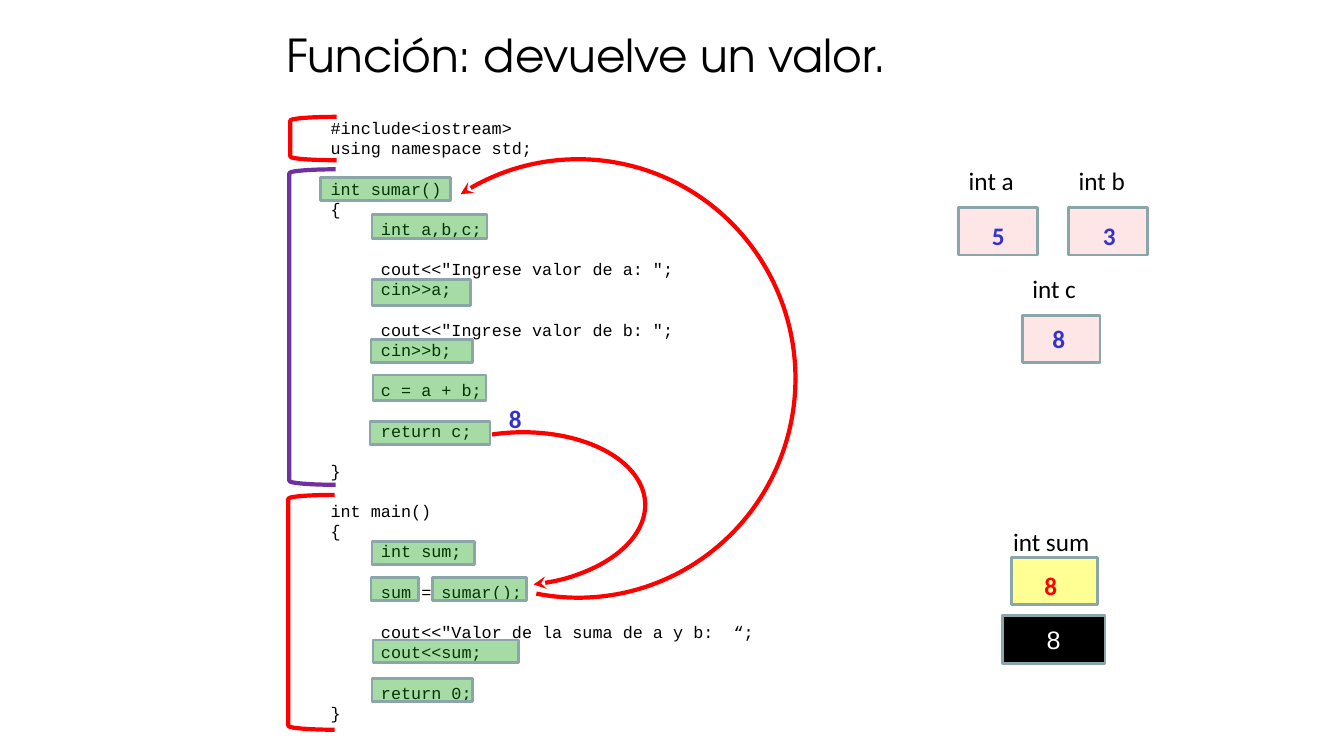
from dataclasses import dataclass
from typing import Optional

from lxml import etree
from pptx import Presentation, util as u
from pptx.dml import color
from pptx.enum import shapes, text
from pptx.oxml import ns

COLORS = {
    "ink": "000000", "paper": "FFFFFF", "red": "FF0000", "purple": "7030A0",
    "value": "3333CC", "edge": "8AA6A8", "step": "009900", "local": "FF9999",
    "result": "FFFF00",
}
COLS, ROWS = 133.3, 75
LINE_PITCH = 14.4
FRAME = {"word_wrap": True, "auto_size": text.MSO_AUTO_SIZE.NONE}
PLAIN = {"name": "Calibri", "size": u.Pt(18), "bold": False}
BOLD = PLAIN | {"bold": True}
CODE_FONT = {"name": "Courier New", "size": u.Pt(12)}
TITLE_FONT = {"name": "TeX Gyre Adventor", "size": u.Pt(32.4), "bold": False}
INDENTS = {0: (0.38, -0.38), 1: (0.81, -0.31)}

CODE = """#include<iostream>
using namespace std;

int sumar()
{
>int a,b,c;

>cout<<"Ingrese valor de a: ";
>cin>>a;

>cout<<"Ingrese valor de b: ";
>cin>>b;

>c = a + b;

>return c;

}

int main()
{
>int sum;

>sum = sumar();

>cout<<"Valor de la suma de a y b:  “;
>cout<<sum;

>return 0;
}"""


@dataclass
class Area:
    col: float
    row: float
    cols: float
    rows: float


@dataclass
class Box:
    area: Area
    fill: str
    opacity: int = 100


@dataclass
class Label:
    words: str
    area: Area
    ink: str = "ink"


@dataclass
class Outline:
    kind: shapes.MSO_SHAPE
    area: Area
    line: str = "red"
    angles: tuple[float, ...] = ()
    rotation: float = 0
    arrow: Optional[str] = None


STEPS = [
    Area(31.8, 17.6, 12.9, 2.3), Area(36.9, 21.3, 11.4, 2.4),
    Area(36.9, 27.7, 9.8, 2.6), Area(36.8, 33.7, 10.1, 2.3),
    Area(37, 37.2, 11.2, 2.5), Area(36.7, 41.8, 11.9, 2.3),
    Area(36.9, 53.7, 10.2, 2.3), Area(36.8, 57.3, 4.7, 2.3),
    Area(42.9, 57.3, 9.3, 2.3), Area(37, 63.5, 14.4, 2.2),
    Area(36.9, 67.3, 10, 2.3),
]
LOCALS = [Area(95.1, 20.6, 7.8, 4.7), Area(106, 20.6, 7.8, 4.7),
          Area(101.4, 31.3, 7.7, 4.7)]
BOXES = [Box(a, "step", 35) for a in STEPS]
BOXES += [Box(a, "local", 24) for a in LOCALS]
BOXES += [Box(Area(100.3, 55.3, 8.6, 4.7), "result", 42)]
SCREEN = Box(Area(99.4, 61.1, 10.2, 4.7), "ink")

NAMES = [Label(f"int {n}", Area(a.col, a.row - 4.7, 8.6, 4))
         for n, a in zip("abc", LOCALS)]
NAMES += [Label("int sum", Area(99.5, 51.7, 11.7, 4))]
VALUES = [
    Label("5", Area(97.4, 21.4, 4.7, 4), "value"),
    Label("3", Area(108.4, 21.4, 4.7, 4), "value"),
    Label("8", Area(103.4, 31.6, 3.4, 4), "value"),
    Label("8", Area(49.5, 39.5, 3.4, 4), "value"),
    Label("8", Area(102.6, 56.1, 3.9, 4), "red"),
]
ARC, BRACKET = shapes.MSO_SHAPE.ARC, shapes.MSO_SHAPE.LEFT_BRACKET
ARCS = [
    Outline(ARC, Area(35.8, 15.8, 43.1, 43.5), angles=(155.4, 73.52), arrow="tailEnd"),
    Outline(ARC, Area(43.6, 37.7, 15.2, 25.6), angles=(114.05, 9.11), rotation=267.2,
            arrow="headEnd"),
]
BRACKETS = [
    Outline(BRACKET, Area(28.6, 49.1, 4.6, 23.3)),
    Outline(BRACKET, Area(28.7, 16.8, 4.6, 31.3), "purple"),
    Outline(BRACKET, Area(28.8, 11.6, 4.6, 4.3)),
]


def rgb(name: str) -> color.RGBColor:
    return color.RGBColor.from_string(COLORS[name])


def apply(target, values: dict) -> None:
    for key, value in values.items():
        setattr(target, key, value)


def place(prs, area: Area) -> tuple[int, ...]:
    w, h = prs.slide_width / COLS, prs.slide_height / ROWS
    return tuple(round(v) for v in (area.col * w, area.row * h, area.cols * w, area.rows * h))


def write(p, words: str, font: dict, ink: str) -> None:
    r = p.add_run()
    r.text = words
    apply(r.font, font)
    r.font.color.rgb = rgb(ink)


def add_title(prs, s, words: str, area: Area) -> None:
    sp = s.shapes.title
    apply(sp, dict(zip(("left", "top", "width", "height"), place(prs, area))))
    apply(sp.text_frame, FRAME | {"vertical_anchor": text.MSO_ANCHOR.MIDDLE})
    p = sp.text_frame.paragraphs[0]
    apply(p, {"alignment": text.PP_ALIGN.LEFT, "line_spacing": 0.9})
    write(p, words, TITLE_FONT, "ink")


def add_code(prs, s, code: str, area: Area) -> None:
    tf = s.shapes.add_textbox(*place(prs, area)).text_frame
    apply(tf, FRAME)
    p, gap = tf.paragraphs[0], 0
    for i, line in enumerate(code.split("\n")):
        if not line:
            gap = LINE_PITCH
            continue
        p = tf.add_paragraph() if i else p
        level = int(line.startswith(">"))
        apply(p, {"level": level, "line_spacing": u.Pt(LINE_PITCH), "space_before": u.Pt(gap)})
        for key, inches in zip(("marL", "indent"), INDENTS[level]):
            p._p.get_or_add_pPr().set(key, str(u.Inches(inches)))
        write(p, line.removeprefix(">"), CODE_FONT, "ink")
        gap = 0


def add_label(prs, s, label: Label, font: dict) -> None:
    tf = s.shapes.add_textbox(*place(prs, label.area)).text_frame
    apply(tf, FRAME)
    write(tf.paragraphs[0], label.words, font, label.ink)


def add_box(prs, s, box: Box):
    sp = s.shapes.add_shape(shapes.MSO_SHAPE.RECTANGLE, *place(prs, box.area))
    sp.shadow.inherit = False
    sp.fill.solid()
    sp.fill.fore_color.rgb = rgb(box.fill)
    if box.opacity < 100:
        tint = sp.element.spPr.find(ns.qn("a:solidFill"))[0]
        etree.SubElement(tint, ns.qn("a:alpha"), val=str(box.opacity * 1000))
    sp.line.color.rgb = rgb("edge")
    sp.line.width = u.Pt(2)
    return sp


def add_outline(prs, s, outline: Outline) -> None:
    sp = s.shapes.add_shape(outline.kind, *place(prs, outline.area))
    sp.shadow.inherit = False
    sp.fill.background()
    sp.line.color.rgb = rgb(outline.line)
    sp.line.width = u.Pt(3)
    sp.rotation = outline.rotation
    for i, angle in enumerate(outline.angles):
        sp.adjustments[i] = angle
    if outline.arrow:
        sp.element.spPr.find(ns.qn("a:xfrm")).set("flipV", "1")
        ln = sp.element.spPr.find(ns.qn("a:ln"))
        etree.SubElement(ln, ns.qn(f"a:{outline.arrow}"), type="stealth")


def main() -> None:
    prs = Presentation()
    prs.slide_width, prs.slide_height = u.Inches(13.33), u.Inches(7.5)
    s = prs.slides.add_slide(prs.slide_layouts[5])
    add_title(prs, s, "Función: devuelve un valor.", Area(27.4, 4.2, 89.1, 3.1))
    for arc in ARCS:
        add_outline(prs, s, arc)
    add_code(prs, s, CODE, Area(31.8, 11.2, 46.5, 58.6))
    for box in BOXES:
        add_box(prs, s, box)
    tf = add_box(prs, s, SCREEN).text_frame
    tf.vertical_anchor = text.MSO_ANCHOR.MIDDLE
    tf.paragraphs[0].alignment = text.PP_ALIGN.CENTER
    write(tf.paragraphs[0], "8", PLAIN | {"name": "Arial"}, "paper")
    for labels, font in ((NAMES, PLAIN), (VALUES, BOLD)):
        for label in labels:
            add_label(prs, s, label, font)
    for bracket in BRACKETS:
        add_outline(prs, s, bracket)
    prs.save("out.pptx")


if __name__ == "__main__":
    main()
